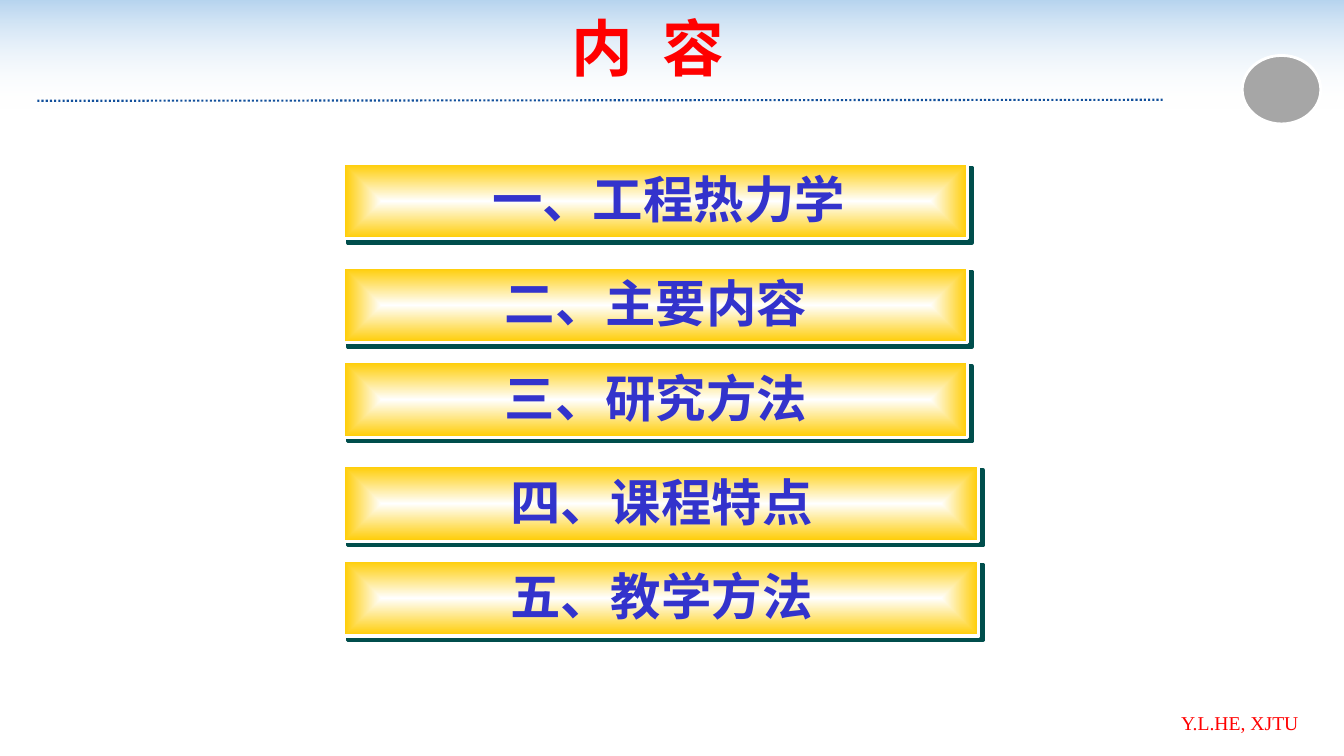
from pptx import Presentation, util as u
from pptx.dml.color import RGBColor
from pptx.enum import dml, shapes, text
from pptx.oxml import parse_xml
from pptx.oxml.ns import nsdecls, qn

COLORS = {"red": "FF0000", "blue": "3333CC", "gold": "FFCC00", "white": "FFFFFF",
          "sky": "4792D7", "rule": "114F9B", "gray": "A6A6A6", "shade": "004E4C"}
W, H = 13.33, 7.5
CJK = "Noto Sans CJK SC"
TOPICS = ["一、工程热力学", "二、主要内容", "三、研究方法", "四、课程特点", "五、教学方法"]


def rgb(name):
    return RGBColor.from_string(COLORS[name])


def inches(*lengths):
    return [u.Inches(n) for n in lengths]


def write(sp, words, size, color, font=CJK, bold=False, align="CENTER",
          insets=(0.1, 0.05, 0.1, 0.05), indent=0, gap=0):
    tf = sp.text_frame
    tf.word_wrap = True
    tf.auto_size = text.MSO_AUTO_SIZE.NONE
    tf.vertical_anchor = text.MSO_ANCHOR.MIDDLE
    tf.margin_left, tf.margin_top, tf.margin_right, tf.margin_bottom = inches(*insets)
    p = tf.paragraphs[0]
    p.alignment = getattr(text.PP_ALIGN, align)
    if indent:
        p._p.get_or_add_pPr().set("marL", str(u.Inches(indent)))
    for part in (words.partition(" ") if gap else [words]):
        r = p.add_run()
        r.text = part
        r.font.size, r.font.bold, r.font.name = u.Pt(size), bold, font
        r.font.color.rgb = rgb(color)
        rPr = r._r.get_or_add_rPr()
        rPr.find(qn("a:latin")).addnext(parse_xml(f'<a:ea {nsdecls("a")} typeface="{CJK}"/>'))
        if part == " ":
            rPr.set("spc", str(gap * 100))


def gradient(sp, stops, direction):
    sp.fill.background()
    spPr = sp._element.spPr
    marks = "".join(f'<a:gs pos="{pos * 1000}"><a:srgbClr val="{COLORS[c]}">'
                    f'<a:alpha val="{alpha * 1000}"/></a:srgbClr></a:gs>'
                    for pos, c, alpha in stops)
    spPr.replace(spPr.find(qn("a:noFill")), parse_xml(
        f'<a:gradFill {nsdecls("a")} rotWithShape="1"><a:gsLst>{marks}</a:gsLst>'
        f'{direction}</a:gradFill>'))


def add_box(s, kind, box):
    sp = s.shapes.add_shape(kind, *inches(*box))
    sp.shadow.inherit = False
    return sp


def add_header(s, box):
    x, y, w, h = box
    band = add_box(s, shapes.MSO_SHAPE.RECTANGLE, box)
    gradient(band, [(0, "sky", 40), (100, "white", 0)], '<a:lin ang="5400000" scaled="0"/>')
    band.line.fill.background()

    rule = s.shapes.add_connector(shapes.MSO_CONNECTOR.STRAIGHT, *inches(
        x + 0.37, y + 1, x + 11.53, y + 0.99))
    rule.line.color.rgb = rgb("rule")
    rule.line.width = u.Pt(1.5)
    rule.line.dash_style = dml.MSO_LINE.ROUND_DOT
    rule._element.spPr.append(parse_xml(f'<a:effectLst {nsdecls("a")}/>'))

    badge = add_box(s, shapes.MSO_SHAPE.OVAL, (x + w - 1.01, y + 0.55, 0.78, 0.68))
    badge.fill.solid()
    badge.fill.fore_color.rgb = rgb("gray")
    badge.line.color.rgb = rgb("white")
    badge.line.width = u.Pt(2)

    title = s.shapes.title
    title.left, title.top, title.width, title.height = inches(
        x + 0.76, y + 0.09, w * 0.85, 0.75)
    write(title, "内 容", 44, "red", font="Times New Roman", bold=True, gap=11)
    s.shapes._spTree.append(title._element)


def add_topic(s, box, words, indent):
    bar = add_box(s, shapes.MSO_SHAPE.RECTANGLE, box)
    gradient(bar, [(0, "white", 100), (100, "gold", 100)],
             '<a:path path="rect"><a:fillToRect l="50000" t="50000" r="50000" b="50000"/></a:path>')
    bar.line.color.rgb = rgb("white")
    bar.line.width = u.Pt(2.25)
    bar._element.spPr.find(qn("a:effectLst")).append(parse_xml(
        f'<a:outerShdw {nsdecls("a")} blurRad="0" dist="{u.Pt(4.2)}" dir="2700000" '
        f'algn="ctr" rotWithShape="0"><a:srgbClr val="{COLORS["shade"]}"/></a:outerShdw>'))
    write(bar, words, 36, "blue", bold=True, insets=(0.1, 0.05, 0.1, 0.1), indent=indent)


def add_topics(s, box):
    x, y, w, h = box
    pair, step = h * 0.42, h * 0.22
    for i, words in enumerate(TOPICS):
        top = y + i // 2 * pair + i % 2 * step
        width = w if i > 2 else w - 0.11
        add_topic(s, (x, top, width, h * 0.16), words, 0 if i else 0.25)


def add_footer(s, box):
    tb = s.shapes.add_textbox(*inches(*box))
    write(tb, "Y.L.HE, XJTU", 14, "red", font="Times New Roman", align="RIGHT",
          insets=(0.11, 0.06, 0.11, 0.06))


def main():
    prs = Presentation()
    prs.slide_width, prs.slide_height = inches(W, H)
    s = prs.slides.add_slide(prs.slide_layouts[5])
    add_footer(s, (11, 7, 1.99, 0.34))
    add_header(s, (0, 0, W, 1.08))
    add_topics(s, (3.41, 1.62, 6.3, 4.69))
    prs.save("out.pptx")


if __name__ == "__main__":
    main()
